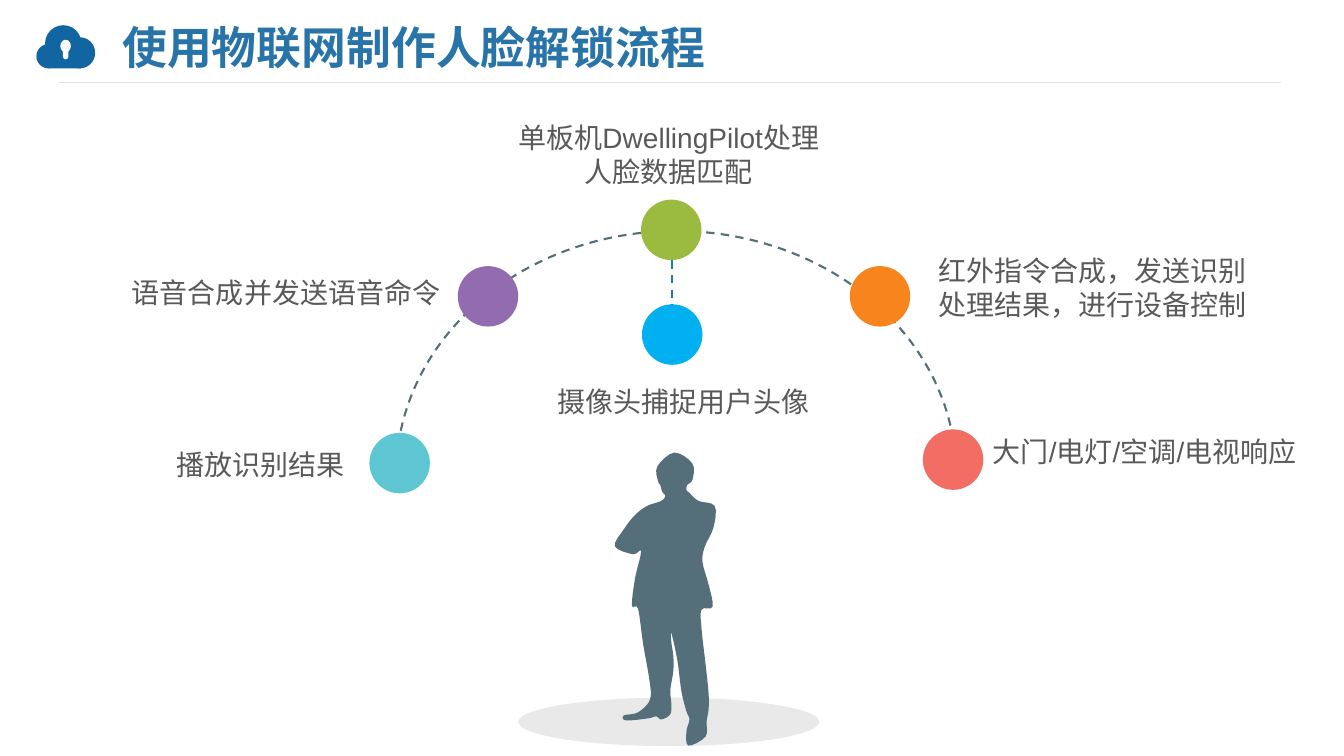
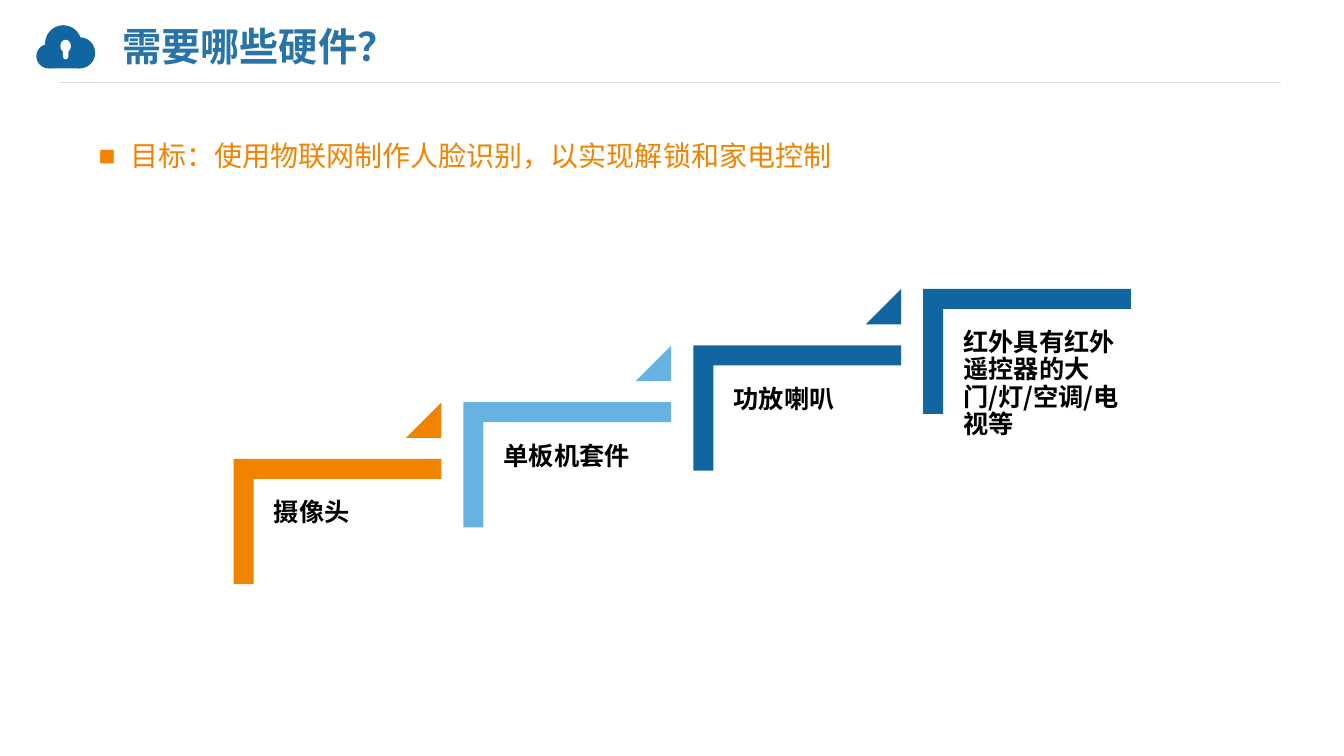
from lxml import etree
from pptx import Presentation
from pptx.dml.color import RGBColor
from pptx.enum import dml, shapes, text
from pptx.oxml.ns import qn
from pptx.util import Pt

HUES = {
    "title": "2874A9", "navy": "1165A0", "sky": "66B3E1", "gold": "F08300",
    "rule": "E0E0E0", "floor": "E9E9E9", "slate": "546E7A", "gray": "595959",
    "green": "9BBB40", "orange": "F8841D", "teal": "5EC6D3", "red": "F26D64",
    "plum": "936CAF", "blue": "00B0F0", "link": "1E78A8",
    "black": "000000", "white": "FFFFFF",
}
HAN = "Noto Sans CJK SC"
KIND = shapes.MSO_SHAPE
LEFT, MID = text.PP_ALIGN.LEFT, text.PP_ALIGN.CENTER
DOT = 43.2

BODY = [
    (69, 49), (52, 63), (53, 78), (55, 81), (57, 88), (60, 92), (56, 97),
    (42, 102), (30, 111), (19, 125), (10, 142), (28, 150), (36, 147),
    (30, 174), (27, 201), (33, 204), (38, 239), (44, 273), (45, 294),
    (33, 307), (19, 310), (21, 315), (43, 313), (51, 311), (56, 314),
    (65, 309), (66, 298), (65, 285), (68, 266), (68, 251), (66, 237),
    (66, 228), (72, 255), (76, 286), (81, 306), (84, 314), (81, 326),
    (83, 340), (100, 331), (101, 316), (103, 304), (103, 288), (100, 259),
    (96, 224), (96, 205), (107, 202), (103, 180), (97, 158), (99, 143),
    (108, 123), (109, 102), (93, 97), (84, 89), (81, 86), (82, 81),
    (87, 76), (87, 60),
]


def rgb(hue):
    return RGBColor.from_string(HUES[hue])


def write(frame, words, size=20, hue="gray", font="Arial", bold=False,
          align=LEFT, lead=None, pad=(7.2, 3.6, 7.2, 3.6),
          anchor=text.MSO_ANCHOR.TOP):
    frame.word_wrap = True
    frame.auto_size = text.MSO_AUTO_SIZE.NONE
    frame.vertical_anchor = anchor
    (frame.margin_left, frame.margin_top,
     frame.margin_right, frame.margin_bottom) = map(Pt, pad)
    para = frame.paragraphs[0]
    para.alignment = align
    if lead:
        para.line_spacing = lead
    run = para.add_run()
    run.text = words
    run.font.size, run.font.bold, run.font.name = Pt(size), bold, font
    run.font.color.rgb = rgb(hue)
    east = etree.SubElement(run.font._element, qn("a:ea"))
    east.set("typeface", HAN)
    return para


def label(slide, box, words, **style):
    frame = slide.shapes.add_textbox(*map(Pt, box)).text_frame
    return write(frame, words, **style)


def paint(shape, hue):
    shape.shadow.inherit = False
    shape.fill.solid()
    shape.fill.fore_color.rgb = rgb(hue)
    shape.line.fill.background()
    return shape


def draw(host, kind, box, hue):
    return paint(host.shapes.add_shape(kind, *map(Pt, box)), hue)


def pen(shape, hue, width, dash=False):
    shape.line.color.rgb = rgb(hue)
    shape.line.width = Pt(width)
    if dash:
        shape.line.dash_style = dml.MSO_LINE.DASH


def link(host, start, end, hue, width, dash=False):
    line = host.shapes.add_connector(
        shapes.MSO_CONNECTOR.STRAIGHT, *map(Pt, start + end))
    pen(line, hue, width, dash)
    etree.SubElement(line._element.spPr, qn("a:effectLst"))


def smooth(points, parts=4):
    count = len(points)
    for i in range(count):
        a, b, c, d = (points[(i + k) % count] for k in (-1, 0, 1, 2))
        for n in range(parts):
            t = n / parts
            yield tuple(
                q + t / 2 * (r - p + t * (2 * p - 5 * q + 4 * r - s
                                          + t * (3 * (q - r) + s - p)))
                for p, q, r, s in zip(a, b, c, d))


def brand(slide, layout):
    group = slide.shapes.add_group_shape()
    link(group, (42, 59), (915, 59), "rule", 0.75)
    x, y = 26, 18
    for kind, box, hue in (
            (KIND.OVAL, (6.2, 0, 26, 26), "navy"),
            (KIND.OVAL, (0, 13.5, 17.4, 17.4), "navy"),
            (KIND.OVAL, (20, 8.6, 22, 22.3), "navy"),
            (KIND.RECTANGLE, (8.7, 15, 23, 15.9), "navy"),
            (KIND.OVAL, (17.1, 10.4, 7.6, 9), "white"),
            (KIND.ROUNDED_RECTANGLE, (19, 16, 3.8, 8.4), "white")):
        left, top, wide, high = box
        part = draw(group, kind, (x + left, y + top, wide, high), hue)
        if kind == KIND.ROUNDED_RECTANGLE:
            part.adjustments[0] = 0.5
    for n, node in enumerate(group.element.iter(qn("p:cNvPr"))):
        node.set("id", str(100 + n))
    layout.shapes.element.append(group.element)


def head(slide, words, size):
    title = slide.shapes.title
    title.left, title.top, title.width, title.height = map(
        Pt, (87.4, 14.4, 640, 37.4))
    write(title.text_frame, words, size=size, hue="title", font=HAN,
          bold=True, pad=(0, 0, 0, 0), anchor=text.MSO_ANCHOR.MIDDLE)


def arch(slide, box):
    x, y, wide, high = box
    arc = slide.shapes.add_shape(KIND.ARC, *map(Pt, (x, y, wide, high * 2)))
    arc.shadow.inherit = False
    arc.fill.background()
    arc.adjustments[0], arc.adjustments[1] = 108, 0
    pen(arc, "slate", 1.5, True)
    for left, top, hue in (
            (196.5, -0.8, "green"), (345.6, 46.7, "orange"),
            (2.5, 165.8, "teal"), (397.8, 163.3, "red"),
            (65.6, 46.7, "plum"), (197.2, 74, "blue")):
        spot = (x + left - DOT / 2, y + top - DOT / 2, DOT, DOT)
        draw(slide, KIND.OVAL, spot, hue)
    stem = x + 197.2
    link(slide, (stem, y + 20.8), (stem, y + 52.4), "link", 1.5, True)
    for left, top, span, align, words in (
            (72.7, -82.2, 244, MID, "单板机DwellingPilot处理人脸数据匹配"),
            (380.1, 12.8, 244, LEFT, "红外指令合成，发送识别处理结果，进行设备控制"),
            (-164.2, 151.1, 136, LEFT, "播放识别结果"),
            (108, 106.4, 215, LEFT, "摄像头捕捉用户头像"),
            (419, 141.7, 233, LEFT, "大门/电灯/空调/电视响应"),
            (-195.9, 28, 237, LEFT, "语音合成并发送语音命令")):
        label(slide, (x + left, y + top, span, 32), words, align=align)


def person(slide, box):
    x, y, wide, high = box
    draw(slide, KIND.OVAL, (x - 69, y + high - 35, 215, 34.6), "floor")
    spots = [(Pt(x + (a - 10) * wide / 101), Pt(y + (b - 49) * high / 292))
             for a, b in smooth(BODY)]
    form = slide.shapes.build_freeform(*spots[0], scale=1.0)
    form.add_line_segments(spots[1:], close=True)
    paint(form.convert_to_shape(), "slate")


def step(slide, box, words, hue, flag):
    x, y, wide, high = box
    turn = (wide - high) / 2
    bar = draw(slide, KIND.CORNER, (x + turn, y - turn, high, wide), hue)
    bar.rotation = 90
    bar.adjustments[0] = bar.adjustments[1] = 0.16
    label(slide, (x + 14.4, y + 15, 134, 117), words, size=18, hue="black",
          font=HAN, bold=True, lead=0.9, pad=(14.4, 14.4, 0, 5))
    if flag:
        mark = (x + wide - 25.2, y - 40.3, 25.2, 25.2)
        draw(slide, KIND.ISOSCELES_TRIANGLE, mark, hue).adjustments[0] = 1


def stairs(slide, box):
    x, y, wide, high = box
    items = (("摄像头", "gold"), ("单板机套件", "sky"), ("功放喇叭", "navy"),
             ("红外具有红外遥控器的大门/灯/空调/电视等", "navy"))
    for i, (words, hue) in enumerate(items):
        spot = (x + i * 164.2, y - i * 40.5, wide, high)
        step(slide, spot, words, hue, i < len(items) - 1)


def goal(slide, box):
    para = label(slide, box, "目标：使用物联网制作人脸识别，以实现解锁和家电控制",
                 hue="gold", font=HAN, lead=1.5)
    props = para._p.get_or_add_pPr()
    props.set("marL", str(Pt(22.5)))
    props.set("indent", str(-Pt(22.5)))
    etree.SubElement(props, qn("a:buFont")).set("typeface", "Arial")
    etree.SubElement(props, qn("a:buChar")).set("char", "■")


def main():
    deck = Presentation()
    deck.slide_width, deck.slide_height = Pt(960), Pt(540)
    layout = deck.slide_layouts[5]

    flow = deck.slides.add_slide(layout)
    brand(flow, layout)
    head(flow, "使用物联网制作人脸解锁流程", 32)
    arch(flow, (283, 165, 400, 174))
    person(flow, (439.2, 323.3, 72.7, 210))

    gear = deck.slides.add_slide(layout)
    head(gear, "需要哪些硬件？", 28)
    stairs(gear, (166.8, 327.8, 148.4, 89.4))
    goal(gear, (63.4, 83.5, 734, 40))

    deck.save("out.pptx")


if __name__ == "__main__":
    main()
